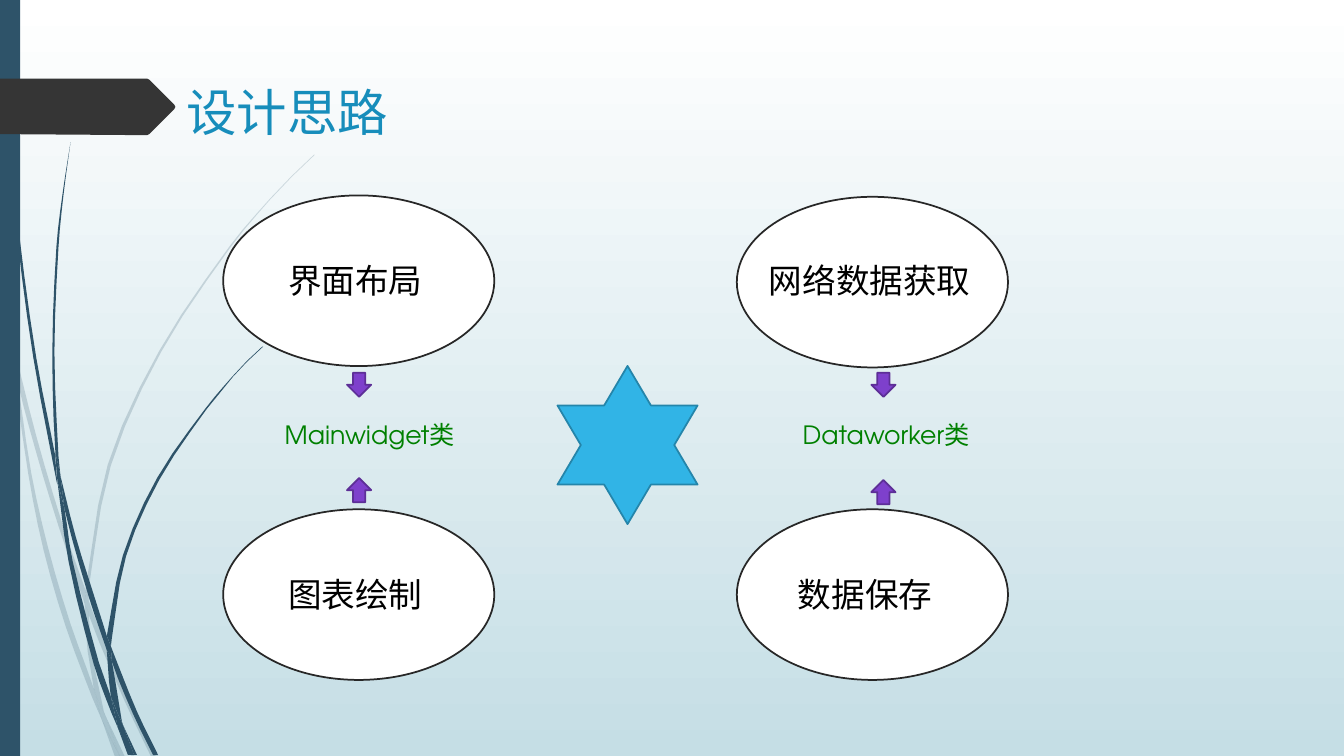
from dataclasses import dataclass
from math import dist

from lxml import etree
from pptx import Presentation
from pptx.dml.color import RGBColor
from pptx.enum.shapes import MSO_SHAPE
from pptx.enum.text import MSO_ANCHOR, MSO_AUTO_SIZE, PP_ALIGN
from pptx.oxml.ns import qn
from pptx.util import Pt

RECT, OVAL, STAR = MSO_SHAPE.RECTANGLE, MSO_SHAPE.OVAL, MSO_SHAPE.STAR_6_POINT
DOWN, UP = MSO_SHAPE.DOWN_ARROW, MSO_SHAPE.UP_ARROW
TOP, LEFT = MSO_ANCHOR.TOP, PP_ALIGN.LEFT
FIXED, GROW = MSO_AUTO_SIZE.NONE, MSO_AUTO_SIZE.SHAPE_TO_FIT_TEXT


@dataclass(frozen=True)
class Theme:
    font: str = "TeX Gyre Adventor"
    sky: str = "FFFFFF"
    haze: str = "C5DEE5"
    navy: str = "2E5369"
    coal: str = "353535"
    title: str = "178DBB"
    ink: str = "000000"
    green: str = "008000"
    white: str = "FFFFFF"
    edge: str = "272727"
    star: str = "31B4E6"
    rim: str = "2485AA"
    violet: str = "7E40CC"
    plum: str = "5D2F97"
    head: int = 36
    body: int = 24
    note: int = 18
    line: float = 1.25


@dataclass(frozen=True)
class Box:
    x: float
    y: float
    w: float
    h: float


@dataclass(frozen=True)
class Form:
    kind: int
    box: Box
    fill: str
    edge: str = ""


@dataclass(frozen=True)
class Label:
    text: str
    box: Box
    size: int
    color: str
    wrap: bool = True
    inset: float = 7.2


@dataclass(frozen=True)
class Blade:
    near: tuple
    far: tuple


THEME = Theme()

PALE = (
    Blade(((7.9, 252), (6.5, 231.8), (0, 203)), ((0, 215.3), (7.2, 247.7))),
    Blade(((10.1, 248.4), (12.2, 270.7), (25.9, 323.3), (41.8, 375.8), (60.5, 431.3)),
          ((61.2, 421.9), (44.6, 374.4), (26, 311.8), (10.1, 248.4))),
    Blade(((63.4, 429.1), (63.4, 439.2), (88.6, 499.7), (108, 540.7)),
          ((111.6, 540.7), (91.4, 498.2), (66.2, 437), (63.4, 429.1))),
    Blade(((75.6, 511.9), (85.7, 540.7)), ((89.3, 540.7), (75.6, 511.9))),
    Blade(((7.9, 252), (20.2, 338.4), (31.2, 393.1), (46.8, 447.1), (66.2, 499), (72.7, 514.1)),
          ((71.3, 509), (67, 491.8), (50.4, 445.7), (34.5, 391.7), (22.3, 337.7),
           (12.2, 270.7), (7.9, 252))),
    Blade(((60.5, 431.3), (62.6, 465.1), (67, 491.8), (69.1, 498.2), (75.6, 511.9)),
          ((74.2, 508.3), (65.5, 465.1), (63.4, 439.2), (63.4, 437.8), (60.5, 431.3))),
    Blade(((63.4, 429.1), (63.4, 420.5), (79.2, 332.6), (115.2, 251.3), (164.9, 176.4),
           (193, 142.6), (208.8, 126), (224.6, 110.9)),
          ((224.6, 110.2), (208.1, 126), (193, 141.8), (164.2, 175.7), (113.8, 250.6),
           (77, 331.9), (61.2, 420.5), (61.2, 421.9))),
    Blade(((72.7, 514.1), (82.1, 540.7)), ((85.7, 540.7), (72.7, 514.1))),
    Blade(((63.4, 437.8), (63.4, 439.2), (63.4, 429.1)), ((61.2, 421.9), (60.5, 431.3))),
    Blade(((67, 491.8), (71.3, 509), (72.7, 514.1), (85.7, 540.7)),
          ((75.6, 511.9), (69.1, 498.2))),
)

DARK = (
    Blade(((2.2, 0), (2.9, 34.6), (5, 79.2), (12.2, 167.8), (23.8, 255.6), (40.3, 343.4), (41, 346.3)),
          ((39.6, 329), (39.6, 326.2), (25.9, 255.6), (13.7, 167), (5.8, 78.5), (3.6, 34.6), (2.9, 0))),
    Blade(((43.2, 339.8), (46.1, 363.6), (63.4, 426.2), (76.3, 464.4)),
          ((76.3, 455.8), (76.3, 454.3), (67, 424.8), (54, 383), (43.2, 339.8))),
    Blade(((79.2, 461.5), (79.9, 472.3), (95, 509.8), (109.4, 539.3)),
          ((113, 539.3), (97.9, 508.3), (81.4, 467.3), (79.2, 461.5))),
    Blade(((41, 343.4), (49, 401), (67, 474.5), (79.9, 509.8), (84.2, 519.8)),
          ((83.5, 516.2), (79.2, 497.5), (70.6, 473), (51.8, 400.3), (46.1, 363.6), (41, 343.4))),
    Blade(((43.2, 339.8), (41.8, 326.2), (38.9, 251.3), (41.8, 176.4), (45.4, 139), (50.4, 101.5)),
          ((50.4, 101.5), (44.6, 139), (40.3, 176.4), (37.4, 251.3), (39.6, 323.3), (43.2, 339.8))),
    Blade(((87.8, 517.7), (95.8, 539.3)), ((97.9, 539.3), (87.8, 517.7))),
    Blade(((41, 343.4), (46.1, 363.6)), ((43.2, 339.8), (39.6, 323.3), (39.6, 326.2))),
    Blade(((79.2, 461.5), (79.9, 455.8), (90, 397.4), (113.8, 342.7), (147.6, 292.3),
           (166.3, 269.3), (176.4, 258.5), (187.9, 247.7)),
          ((187.2, 247.7), (176.4, 257.8), (166.3, 268.6), (146.9, 291.6), (112.3, 341.3),
           (87.8, 396.7), (76.3, 454.3))),
    Blade(((84.2, 519.8), (91.4, 539.3)), ((94.3, 539.3), (84.2, 519.8))),
    Blade(((76.3, 464.4), (79.2, 497.5), (83.5, 508.3), (87.8, 517.7)),
          ((87.1, 515.5), (79.9, 472.3), (78.5, 468.7), (76.3, 464.4))),
    Blade(((76.3, 464.4), (78.5, 468.7), (79.9, 472.3), (79.2, 461.5)), ((76.3, 454.3), (76.3, 455.8))),
    Blade(((79.2, 497.5), (83.5, 516.2), (84.2, 519.8), (93.6, 539.3)),
          ((95.8, 539.3), (87.8, 517.7), (83.5, 508.3))),
)

TAG = ((0, 56.2), (105.1, 56.2), (106.6, 56.9), (124.6, 74.9), (125.3, 76.3),
       (124.6, 77.8), (106.6, 95.8), (105.1, 96.5), (97.9, 96.5), (0, 95.8))
BAR = Form(RECT, Box(0, 0, 14.4, 540), THEME.navy)
OVALS = tuple(
    Form(OVAL, Box(x, y, 193.7, 121.9), THEME.white, THEME.edge)
    for x, y in ((159.4, 139.6), (526.3, 140.6), (159.4, 363.8), (526.3, 363.8)))
HUB = Form(STAR, Box(398.2, 261.4, 100.1, 113), THEME.star, THEME.rim)
ARROWS = tuple(
    Form(kind, Box(x, y, 17.3, 17.3), THEME.violet, THEME.plum)
    for kind, x, y in ((DOWN, 247.9, 266.2), (DOWN, 622.4, 266.2),
                       (UP, 247.9, 341.5), (UP, 622.4, 342.9)))

TITLE = Label("设计思路", Box(126, 54, 168.5, 51.1), THEME.head, THEME.title)
LABELS = (
    Label("界面布局", Box(198.7, 182.2, 140.4, 36), THEME.body, THEME.ink),
    Label("网络数据获取", Box(542.2, 182.2, 184.3, 36), THEME.body, THEME.ink),
    Label("数据保存", Box(535.7, 406.5, 184.3, 36), THEME.body, THEME.ink, inset=34.3),
    Label("图表绘制", Box(198.7, 406.5, 159.8, 36), THEME.body, THEME.ink),
    Label("Dataworker类", Box(566.3, 295.9, 136.1, 28.8), THEME.note, THEME.green, False),
    Label("Mainwidget类", Box(196.3, 295.9, 139.7, 28.8), THEME.note, THEME.green, False),
)


def tint(fill, color: str) -> None:
    fill.solid()
    fill.fore_color.rgb = RGBColor.from_string(color)


def slope(a: tuple, b: tuple) -> tuple:
    gap = dist(a, b) or 1
    return tuple((q - p) / gap for p, q in zip(a, b))


def smooth(knots: tuple) -> list:
    pts = [knots[0], *knots, knots[-1]]
    path = []
    for a, b, c, d in zip(pts, pts[1:], pts[2:], pts[3:]):
        gap = dist(b, c)
        start = slope(a, c)
        end = slope(b, d)
        steps = 3 if gap > 30 else 1
        for t in (i / steps for i in range(steps)):
            path.append(tuple(
                p * (1 + 2 * t) * (1 - t) ** 2 + q * t * t * (3 - 2 * t)
                + gap * t * (1 - t) * (m * (1 - t) - n * t)
                for p, q, m, n in zip(b, c, start, end)))
    return path + [knots[-1]]


def draw_path(shapes, path: list, color: str, alpha: int = 100) -> None:
    rim = [(Pt(x), Pt(y)) for x, y in path]
    pen = shapes.build_freeform(*rim[0])
    pen.add_line_segments(rim[1:], close=True)
    shape = pen.convert_to_shape()
    shape.shadow.inherit = False
    shape.line.fill.background()
    tint(shape.fill, color)
    if alpha < 100:
        node = shape.element.spPr.find(qn("a:solidFill"))[0]
        etree.SubElement(node, qn("a:alpha")).set("val", str(alpha * 1000))


def draw_form(shapes, form: Form) -> None:
    box = form.box
    shape = shapes.add_shape(form.kind, Pt(box.x), Pt(box.y), Pt(box.w), Pt(box.h))
    shape.shadow.inherit = False
    tint(shape.fill, form.fill)
    if form.edge:
        tint(shape.line.fill, form.edge)
        shape.line.width = Pt(THEME.line)
    else:
        shape.line.fill.background()


def write(shape, label: Label, fit: int) -> None:
    box, frame = label.box, shape.text_frame
    shape.left, shape.top, shape.width, shape.height = map(Pt, (box.x, box.y, box.w, box.h))
    frame.text = label.text
    frame.word_wrap, frame.auto_size = label.wrap, fit
    frame.vertical_anchor, frame.margin_left = TOP, Pt(label.inset)
    para = frame.paragraphs[0]
    para.alignment = LEFT
    font = para.runs[0].font
    font.name, font.size = THEME.font, Pt(label.size)
    font.color.rgb = RGBColor.from_string(label.color)


def main() -> None:
    deck = Presentation()
    deck.slide_width, deck.slide_height = Pt(960), Pt(540)
    slide = deck.slides.add_slide(deck.slide_layouts[5])
    back = slide.background.fill
    back.gradient()
    back.gradient_angle = 270
    for stop, color in zip(back.gradient_stops, (THEME.sky, THEME.haze)):
        stop.color.rgb = RGBColor.from_string(color)
    shapes = slide.shapes
    for blades, alpha in ((PALE, 20), (DARK, 100)):
        for blade in blades:
            draw_path(shapes, smooth(blade.near) + smooth(blade.far), THEME.navy, alpha)
    draw_form(shapes, BAR)
    draw_path(shapes, TAG, THEME.coal)
    write(shapes.title, TITLE, FIXED)
    for form in (*OVALS, HUB, *ARROWS):
        draw_form(shapes, form)
    for label in LABELS:
        write(shapes.add_textbox(0, 0, 0, 0), label, GROW)
    deck.save("out.pptx")


if __name__ == "__main__":
    main()
